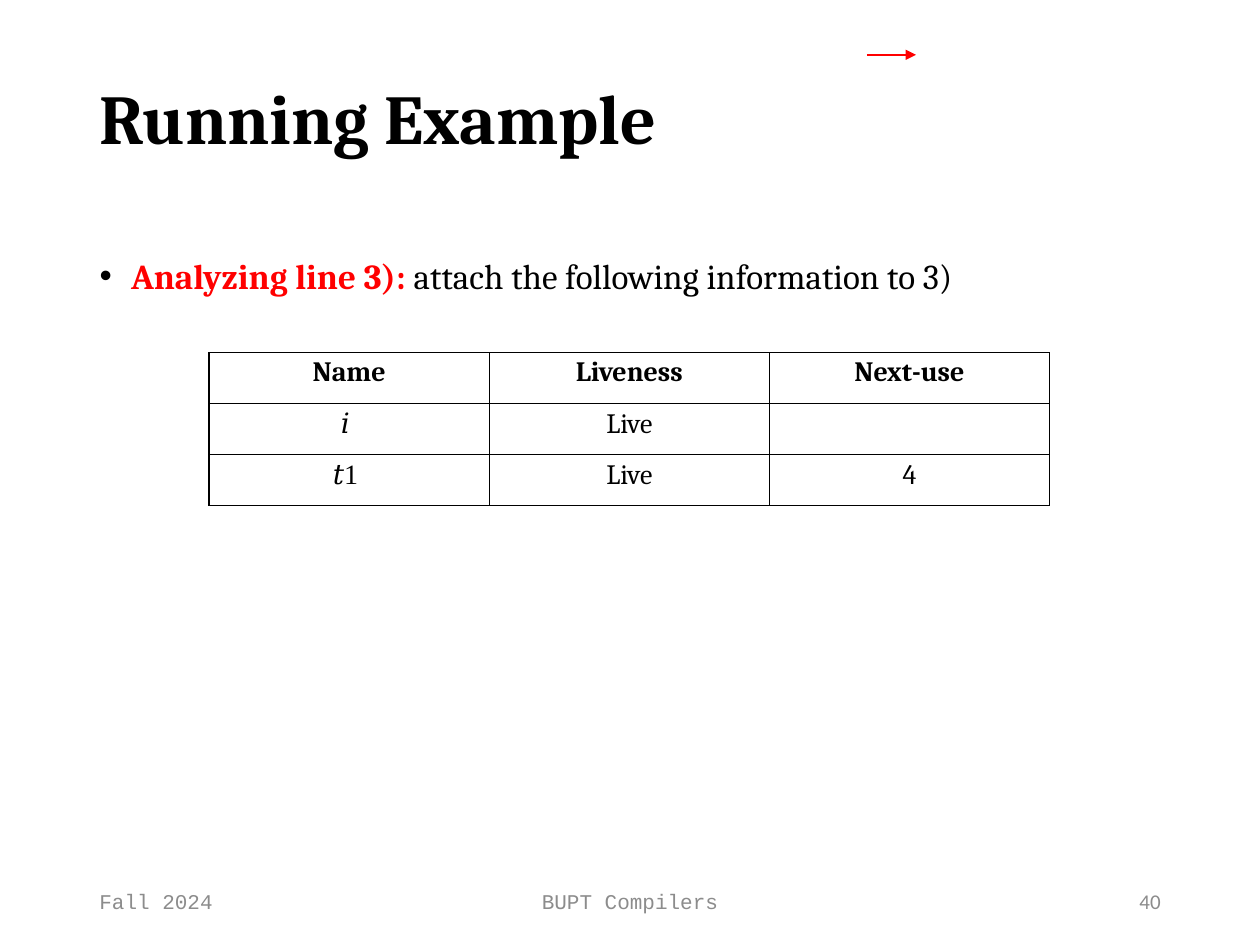
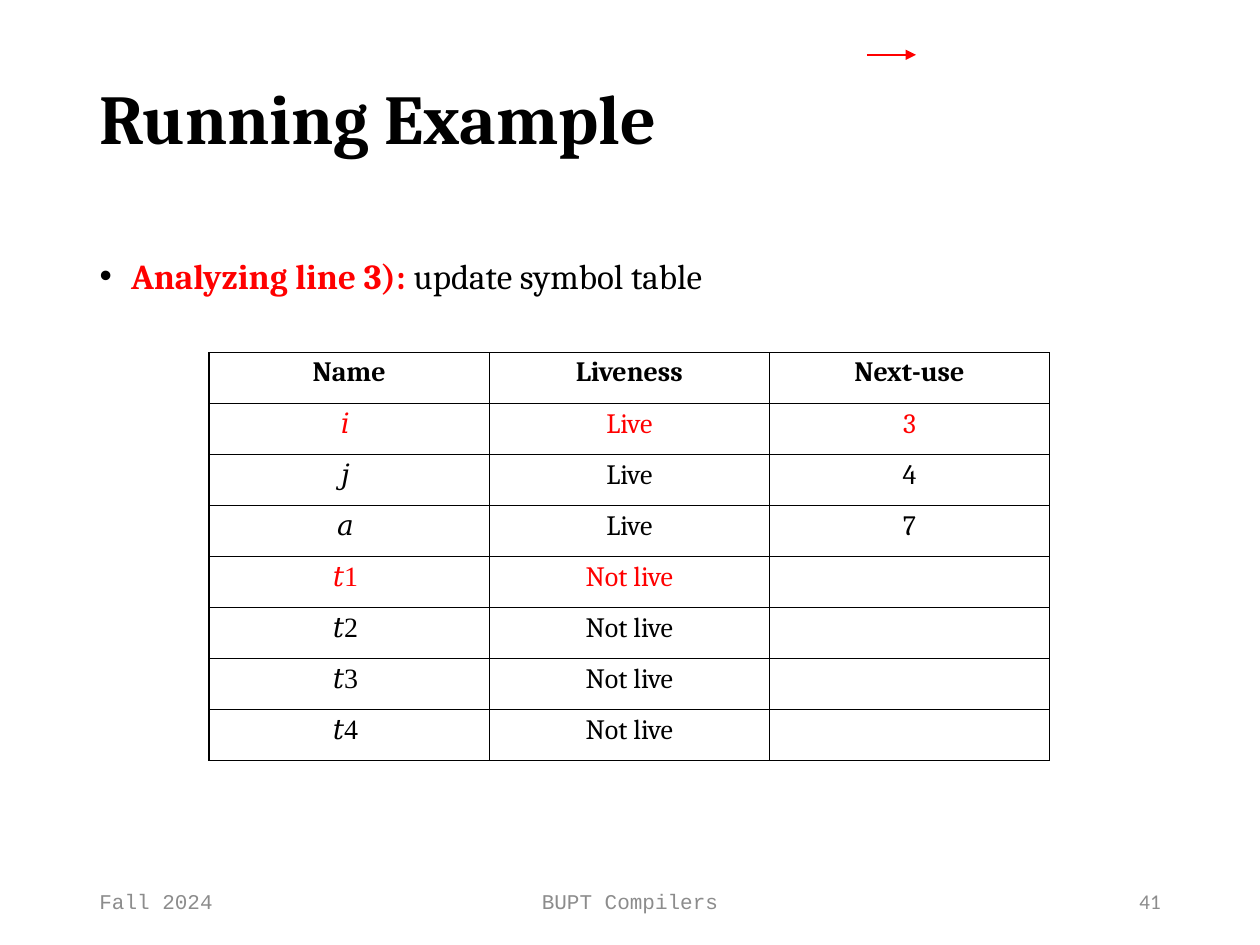
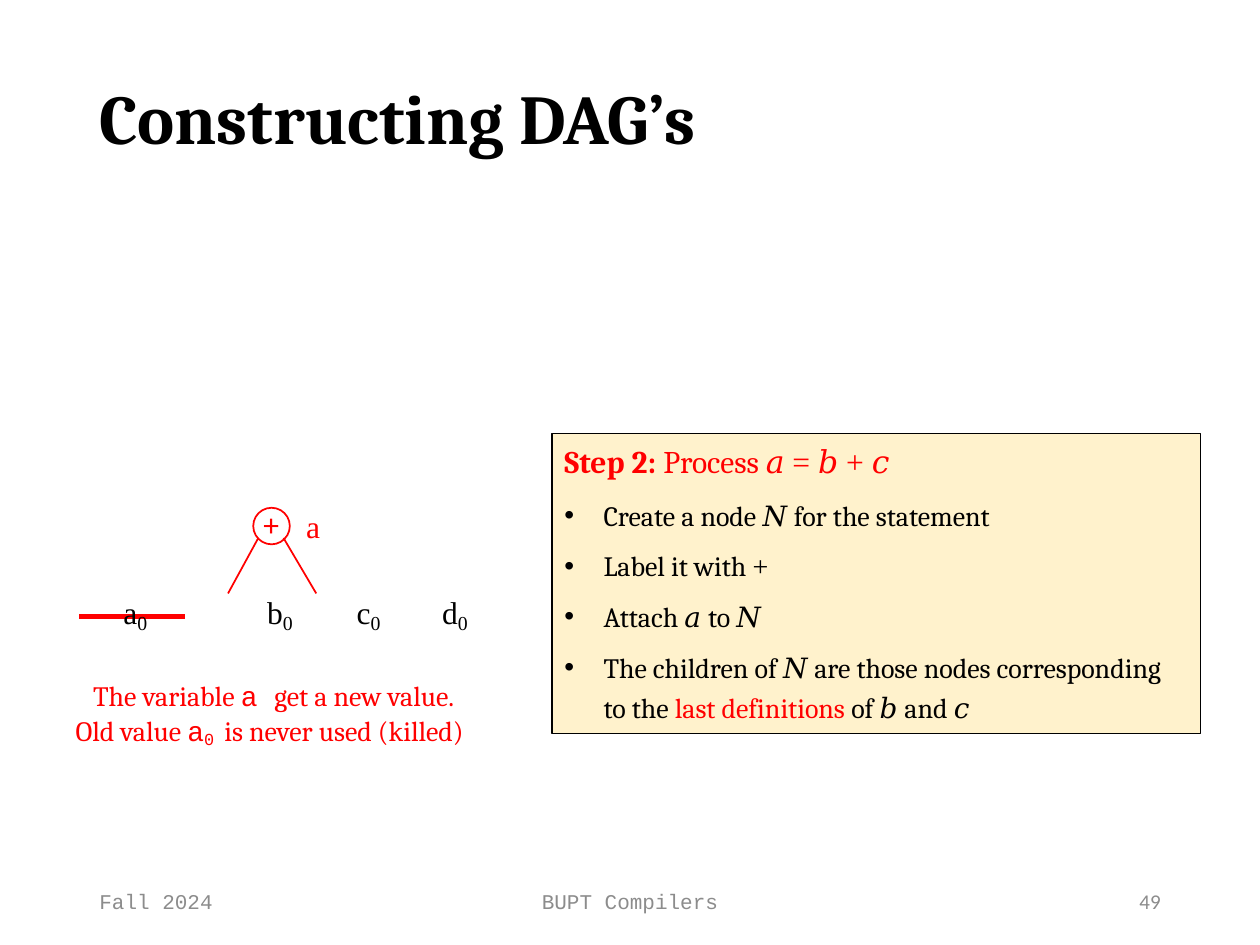
from dataclasses import dataclass
from typing import NamedTuple

from lxml.etree import SubElement
from pptx import Presentation
from pptx.dml.color import RGBColor
from pptx.enum.shapes import MSO_CONNECTOR, MSO_SHAPE
from pptx.enum.text import MSO_ANCHOR, PP_ALIGN
from pptx.oxml.ns import qn
from pptx.shapes.autoshape import Shape
from pptx.slide import Slide
from pptx.table import _Cell as Cell
from pptx.text.text import TextFrame
from pptx.util import Inches, Pt

WIDTH, HEIGHT = Inches(10), Inches(7.5)
BLACK, RED, GREY, CREAM = "000000", "FF0000", "8C8C8C", "FFF2CC"
SERIF, MATH, CODE, SANS = "Cambria", "Times New Roman", "Courier New", "Calibri"
ROW_HEIGHT = 5.4
HEADERS = ("Name", "Liveness", "Next-use")


class Box(NamedTuple):
    """A rectangle in percent of the slide's width and height."""
    left: float
    top: float
    width: float
    height: float


class Margins(NamedTuple):
    """Text insets in inches."""
    left: float = 0
    top: float = 0.01
    right: float = 0
    bottom: float = 0


@dataclass
class Run:
    text: str
    size: float = 16
    font: str = SERIF
    color: str = BLACK
    bold: bool = False
    baseline: int = 0


@dataclass
class Paragraph:
    runs: list[Run]
    left: float = 0
    hanging: float = 0
    bullet: bool = False
    before: float = 0
    line_spacing: float | None = None
    align: PP_ALIGN = PP_ALIGN.LEFT


class Line(NamedTuple):
    """A straight line between two points in percent, its width in points."""
    x1: float
    y1: float
    x2: float
    y2: float
    width: float = 1
    arrow: bool = False


class Leaf(NamedTuple):
    """A leaf of the graph, its left edge in percent."""
    name: str
    left: float


class Entry(NamedTuple):
    """One row of a symbol table."""
    name: str
    liveness: str
    next_use: str = ""
    color: str = BLACK


LEAVES = (Leaf("a", 9.8), Leaf("b", 21.2), Leaf("c", 28.3), Leaf("d", 35.1))


def rgb(color: str) -> RGBColor:
    return RGBColor.from_string(color)


def across(percent: float) -> int:
    return round(WIDTH * percent / 100)


def down(percent: float) -> int:
    return round(HEIGHT * percent / 100)


def place(box: Box) -> tuple[int, int, int, int]:
    return across(box.left), down(box.top), across(box.width), down(box.height)


def set_margins(target: TextFrame | Cell, margins: Margins) -> None:
    target.margin_left, target.margin_top, target.margin_right, target.margin_bottom = map(Inches, margins)


def write(frame: TextFrame, paragraphs: list[Paragraph]) -> None:
    for index, content in enumerate(paragraphs):
        paragraph = frame.add_paragraph() if index else frame.paragraphs[0]
        paragraph.alignment = content.align
        paragraph.space_before = Pt(content.before)
        if content.line_spacing:
            paragraph.line_spacing = content.line_spacing
        properties = paragraph._p.get_or_add_pPr()
        properties.set("marL", str(Inches(content.left)))
        properties.set("indent", str(-Inches(content.hanging)))
        if content.bullet:
            color = SubElement(properties, qn("a:buClr"))
            SubElement(color, qn("a:srgbClr"), val=BLACK)
            SubElement(properties, qn("a:buFont"), typeface="Arial")
            SubElement(properties, qn("a:buChar"), char="•")
        for part in content.runs:
            run = paragraph.add_run()
            run.text = part.text
            run.font.name = part.font
            run.font.size = Pt(part.size)
            run.font.bold = part.bold
            run.font.color.rgb = rgb(part.color)
            if part.baseline:
                run._r.get_or_add_rPr().set("baseline", str(part.baseline * 1000))


def add_text(slide: Slide, box: Box, paragraphs: list[Paragraph],
             margins: Margins = Margins(), anchor: MSO_ANCHOR = MSO_ANCHOR.TOP) -> None:
    frame = slide.shapes.add_textbox(*place(box)).text_frame
    frame.word_wrap = True
    frame.vertical_anchor = anchor
    set_margins(frame, margins)
    write(frame, paragraphs)


def add_outlined(slide: Slide, kind: MSO_SHAPE, box: Box, color: str,
                 width: float, fill: str | None = None) -> Shape:
    shape = slide.shapes.add_shape(kind, *place(box))
    shape.shadow.inherit = False
    if fill:
        shape.fill.solid()
        shape.fill.fore_color.rgb = rgb(fill)
    else:
        shape.fill.background()
    shape.line.color.rgb = rgb(color)
    shape.line.width = Pt(width)
    return shape


def add_red_line(slide: Slide, line: Line) -> None:
    connector = slide.shapes.add_connector(
        MSO_CONNECTOR.STRAIGHT, across(line.x1), down(line.y1), across(line.x2), down(line.y2))
    connector.line.color.rgb = rgb(RED)
    connector.line.width = Pt(line.width)
    if line.arrow:
        SubElement(connector.line._get_or_add_ln(), qn("a:tailEnd"), type="triangle", w="med", len="med")
    SubElement(connector._element.spPr, qn("a:effectLst"))


def add_borders(cell: Cell) -> None:
    properties = cell._tc.get_or_add_tcPr()
    for side in "LRTB":
        border = SubElement(properties, qn(f"a:ln{side}"), w=str(Pt(1)))
        fill = SubElement(border, qn("a:solidFill"))
        SubElement(fill, qn("a:srgbClr"), val=BLACK)


def add_symbol_table(slide: Slide, entries: list[Entry]) -> None:
    row_count = len(entries) + 1
    box = Box(16.6, 37.33, 66.7, ROW_HEIGHT * row_count)
    table = slide.shapes.add_table(row_count, len(HEADERS), *place(box)).table
    table.first_row = table.horz_banding = False
    rows = [Entry(*HEADERS), *entries]
    for row_index, entry in enumerate(rows):
        table.rows[row_index].height = down(ROW_HEIGHT)
        is_header = row_index == 0
        for column_index, text in enumerate(entry[:3]):
            cell = table.cell(row_index, column_index)
            is_symbol = column_index == 0 and not is_header
            add_borders(cell)
            cell.fill.background()
            set_margins(cell, Margins(top=0.03 if is_header else 0.04, right=0.06 if is_symbol else 0))
            if text:
                run = Run(text, font=MATH if is_symbol else SERIF, color=entry.color, bold=is_header)
                write(cell.text_frame, [Paragraph([run], align=PP_ALIGN.CENTER)])


def add_page(presentation: Presentation, title: str, number: int) -> Slide:
    """Adds a slide with its title and footers."""
    slide = presentation.slides.add_slide(presentation.slide_layouts[6])
    footers = (
        (6.9, 22.5, "Fall 2024", CODE, PP_ALIGN.LEFT),
        (33.1, 33.8, "BUPT Compilers", CODE, PP_ALIGN.CENTER),
        (70.6, 22.5, str(number), SANS, PP_ALIGN.RIGHT),
    )
    for left, width, text, font, align in footers:
        add_text(slide, Box(left, 92.67, width, 5.33),
                 [Paragraph([Run(text, 12, font, GREY)], align=align)],
                 Margins(0.1, 0.05, 0.1, 0.05), MSO_ANCHOR.MIDDLE)
    add_text(slide, Box(7.7, 7.7, 84.5, 9.2), [Paragraph([Run(title, 40, bold=True)], left=0.02)])
    return slide


def add_example_page(presentation: Presentation, number: int, action: str, entries: list[Entry]) -> None:
    slide = add_page(presentation, "Running Example", number)
    runs = [Run("Analyzing line 3): ", 20, color=RED, bold=True), Run(action, 20)]
    add_text(slide, Box(7.7, 26.8, 72.1, 4.8), [Paragraph(runs, 0.27, 0.25, bullet=True)])
    add_symbol_table(slide, entries)
    add_red_line(slide, Line(68.8, 5.8, 72.7, 5.8, 1.25, arrow=True))


def math(text: str) -> Run:
    return Run(text, font=MATH)


def step(runs: list[Run], before: float, line_spacing: float | None = None) -> Paragraph:
    return Paragraph(runs, 0.41, 0.31, True, before, line_spacing)


def add_step_box(slide: Slide) -> None:
    shape = add_outlined(slide, MSO_SHAPE.RECTANGLE, Box(43.8, 45.87, 51.5, 31.73), BLACK, 0.75, CREAM)
    frame = shape.text_frame
    frame.word_wrap = True
    frame.vertical_anchor = MSO_ANCHOR.TOP
    set_margins(frame, Margins(top=0.07, right=0.2))
    write(frame, [
        Paragraph([Run("Step 2: ", 18, color=RED, bold=True), Run("Process ", 18, color=RED),
                   Run("𝑎 = 𝑏 + 𝑐", 18, MATH, RED)], left=0.1),
        step([Run("Create a node "), math("𝑁 "), Run("for the statement")], 10.4),
        step([Run("Label it with "), math("+")], 9.6),
        step([Run("Attach "), math("𝑎 "), Run("to "), math("𝑁")], 9.8),
        step([Run("The children of "), math("𝑁 "), Run("are those nodes corresponding to the "),
              Run("last definitions ", color=RED), Run("of "), math("𝑏 "), Run("and "), math("𝑐")], 6, 1.2),
    ])


def add_graph(slide: Slide) -> None:
    add_outlined(slide, MSO_SHAPE.OVAL, Box(20.1, 53.73, 2.9, 3.87), RED, 1)
    left_edge = Line(20.5, 56.93, 18.1, 62.8)
    right_edge = Line(22.5, 56.93, 25.1, 62.8)
    killed_mark = Line(6.3, 65.2, 14.7, 65.2, 2.75)
    for line in (left_edge, right_edge, killed_mark):
        add_red_line(slide, line)
    add_text(slide, Box(20.8, 53.33, 2, 4.4), [Paragraph([Run("+", 18, SANS, RED)], left=0.01)])
    add_text(slide, Box(24.3, 53.53, 2, 4.4), [Paragraph([Run("a", 18, MATH, RED)])])
    for leaf in LEAVES:
        add_text(slide, Box(leaf.left, 62.4, 4, 4.8), [
            Paragraph([Run(leaf.name, 18, MATH), Run("0", 19.5, MATH, baseline=-15)])])
    add_text(slide, Box(5.4, 71.7, 34.4, 7.2), [
        Paragraph([Run("The variable ", color=RED), Run("a ", font=CODE, color=RED),
                   Run("get a new value.", color=RED)], left=0.2),
        Paragraph([Run("Old value ", color=RED), Run("a", font=CODE, color=RED),
                   Run("0 ", 16.5, CODE, RED, baseline=-15),
                   Run("is never used (killed)", color=RED)], left=0.06),
    ])


def main() -> None:
    presentation = Presentation()
    presentation.slide_width, presentation.slide_height = WIDTH, HEIGHT
    add_example_page(presentation, 40, "attach the following information to 3)", [
        Entry("𝑖", "Live"),
        Entry("𝑡1", "Live", "4"),
    ])
    add_example_page(presentation, 41, "update symbol table", [
        Entry("𝑖", "Live", "3", RED),
        Entry("𝑗", "Live", "4"),
        Entry("𝑎", "Live", "7"),
        Entry("𝑡1", "Not live", color=RED),
        *(Entry(f"𝑡{index}", "Not live") for index in (2, 3, 4)),
    ])
    graph_page = add_page(presentation, "Constructing DAG’s", 49)
    add_step_box(graph_page)
    add_graph(graph_page)
    presentation.save("out.pptx")


if __name__ == "__main__":
    main()
